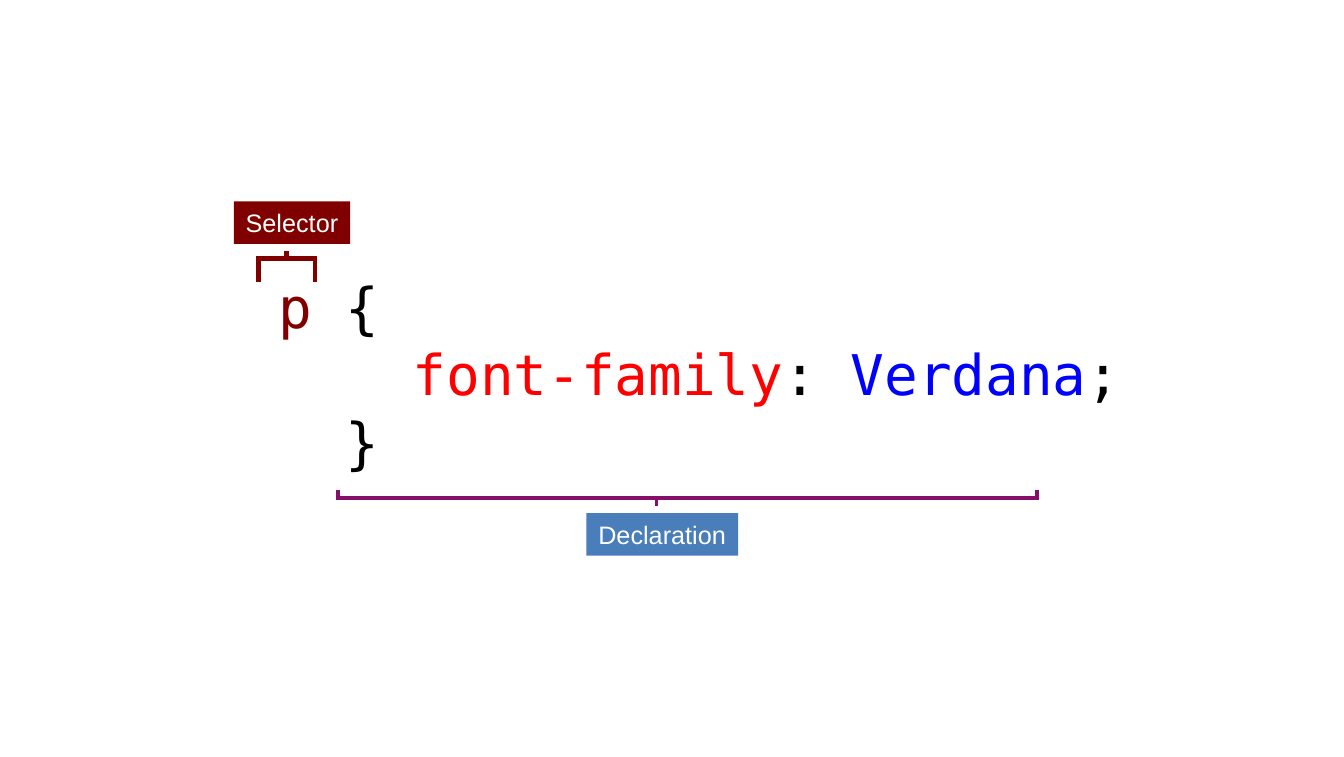
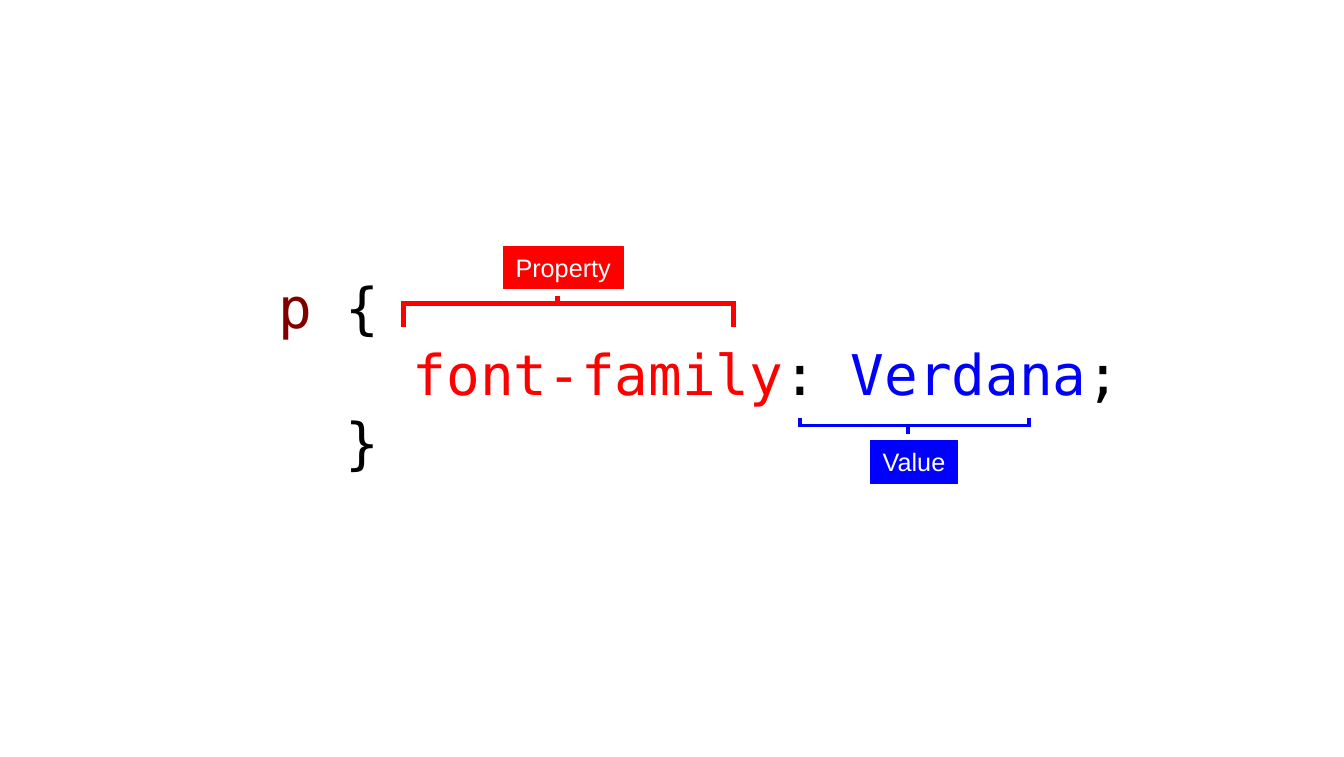
from pptx import Presentation
from pptx.dml.color import RGBColor
from pptx.enum.shapes import MSO_CONNECTOR, MSO_SHAPE
from pptx.enum.text import MSO_ANCHOR, PP_ALIGN
from pptx.util import Inches, Pt

CODE_FONT, LABEL_FONT = "DejaVu Sans Mono", "Arial"
MAROON, RED, BLUE, BLACK, WHITE = "800000", "FF0000", "0000FF", "000000", "FFFFFF"
PURPLE, STEEL = "860F69", "4A7EBB"

CSS_RULE = [
    [("p", MAROON), (" {", BLACK)],
    [("    ", BLACK), ("font-family", RED), (": ", BLACK), ("Verdana", BLUE), (";", BLACK)],
    [("  }", BLACK)],
]
CODE_BOX = (2.32, 2.32, 8.39, 1.87)

ABOVE, BELOW = -1, 1
LEG = {ABOVE: 0.2, BELOW: 0.07}
STEM = 0.07
LABEL_HEIGHT, LABEL_GAP, LABEL_SHIFT = 0.37, 0.06, 0.05


def colour(hex_code):
    return RGBColor.from_string(hex_code)


def add_code(slide, box):
    """Place the CSS rule, coloured by syntax, in the given box."""
    frame = slide.shapes.add_textbox(*map(Inches, box)).text_frame
    frame.word_wrap = True
    for number, tokens in enumerate(CSS_RULE):
        line = frame.add_paragraph() if number else frame.paragraphs[0]
        line.font.name, line.font.size = CODE_FONT, Pt(35.1)
        for text, ink in tokens:
            token = line.add_run()
            token.text = text
            token.font.color.rgb = colour(ink)


def add_line(slide, start, end, ink, weight):
    line = slide.shapes.add_connector(
        MSO_CONNECTOR.STRAIGHT, *map(Inches, (*start, *end)))
    line.line.color.rgb = colour(ink)
    line.line.width = Pt(weight)
    properties = line.element.spPr
    properties.append(properties.makeelement(
        "{http://schemas.openxmlformats.org/drawingml/2006/main}effectLst", {}))


def add_bracket(slide, left, right, y, stem_x, side, ink, weight):
    """Draw a bar with legs towards the code and a stem towards the label."""
    corner = y + side * weight / 144
    add_line(slide, (left, y), (right, y), ink, weight)
    for x in (left, right):
        add_line(slide, (x, corner), (x, y - side * LEG[side]), ink, weight)
    add_line(slide, (stem_x, y), (stem_x, y + side * STEM), ink, weight)


def add_label(slide, box, text, fill, outlined):
    label = slide.shapes.add_shape(MSO_SHAPE.RECTANGLE, *map(Inches, box))
    label.shadow.inherit = False
    label.fill.solid()
    label.fill.fore_color.rgb = colour(fill)
    if outlined:
        label.line.color.rgb = colour(fill)
        label.line.width = Pt(0.75)
    else:
        label.line.fill.background()
    frame = label.text_frame
    frame.word_wrap = False
    frame.vertical_anchor = MSO_ANCHOR.MIDDLE
    caption = frame.paragraphs[0]
    caption.text = text
    caption.alignment = PP_ALIGN.CENTER
    caption.font.name, caption.font.size = LABEL_FONT, Pt(15.8)
    caption.font.color.rgb = colour(WHITE)


def add_callout(slide, text, width, span, y, stem_x, side, ink, weight,
                fill=None, outlined=False):
    """Bracket a span of the code and name it above or below."""
    add_bracket(slide, *span, y, stem_x, side, ink, weight)
    near_edge = y + side * (STEM + LABEL_GAP)
    top = near_edge if side == BELOW else near_edge - LABEL_HEIGHT
    left = stem_x + LABEL_SHIFT - width / 2
    add_label(slide, (left, top, width, LABEL_HEIGHT), text, fill or ink, outlined)


def add_code_slide(deck, callouts):
    slide = deck.slides.add_slide(deck.slide_layouts[6])
    add_code(slide, CODE_BOX)
    for callout in callouts:
        add_callout(slide, **callout)


def main():
    deck = Presentation()
    deck.slide_width, deck.slide_height = Inches(11.69), Inches(6.58)
    add_code_slide(deck, [
        dict(text="Selector", width=1.01, span=(2.25, 2.74), y=2.25, stem_x=2.49,
             side=ABOVE, ink=MAROON, weight=3),
        dict(text="Declaration", width=1.32, span=(2.94, 9.02), y=4.33, stem_x=5.71,
             side=BELOW, ink=PURPLE, weight=2.25, fill=STEEL),
    ])
    add_code_slide(deck, [
        dict(text="Property", width=1.04, span=(3.51, 6.38), y=2.64, stem_x=4.85,
             side=ABOVE, ink=RED, weight=3, outlined=True),
        dict(text="Value", width=0.75, span=(6.96, 8.95), y=3.7, stem_x=7.9,
             side=BELOW, ink=BLUE, weight=2.25, outlined=True),
    ])
    deck.save("out.pptx")


if __name__ == "__main__":
    main()
